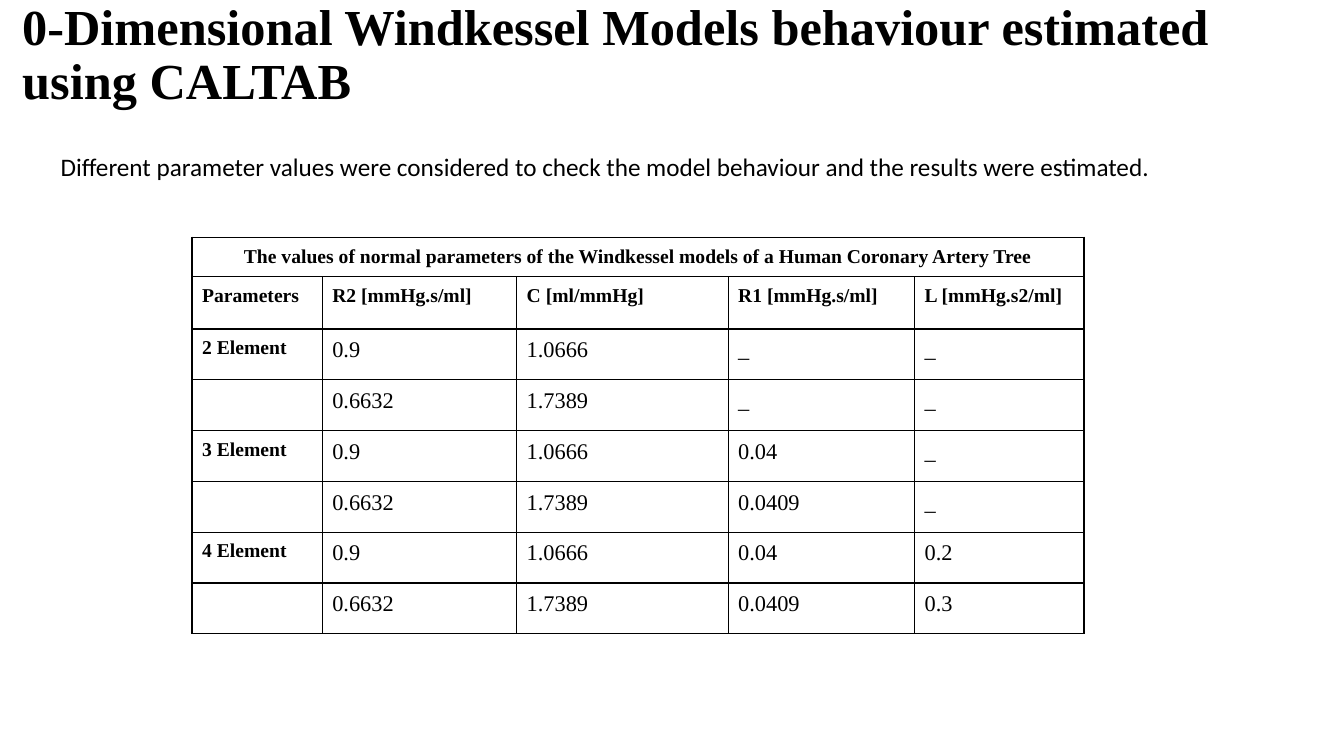
from dataclasses import dataclass

from lxml.etree import SubElement
from pptx import Presentation
from pptx.dml.color import RGBColor
from pptx.enum.text import MSO_ANCHOR, PP_ALIGN
from pptx.oxml.ns import qn
from pptx.util import Cm, Pt


@dataclass(frozen=True)
class Theme:
    ink: str = "000000"
    serif: str = "Times New Roman"
    sans: str = "Calibri"
    title: int = 36
    body: int = 18
    label: int = 14
    value: int = 16
    border: int = 1


THEME = Theme()

CAPTION = "The values of normal parameters of the Windkessel models of a Human Coronary Artery Tree"
HEADERS = ["Parameters", "R2 [mmHg.s/ml]", "C [ml/mmHg]", "R1 [mmHg.s/ml]", "L [mmHg.s2/ml]"]
MODELS = [
    ["2 Element", "0.9", "1.0666", "_", "_"],
    ["", "0.6632", "1.7389", "_", "_"],
    ["3 Element", "0.9", "1.0666", "0.04", "_"],
    ["", "0.6632", "1.7389", "0.0409", "_"],
    ["4 Element", "0.9", "1.0666", "0.04", "0.2"],
    ["", "0.6632", "1.7389", "0.0409", "0.3"],
]
COLUMN_WIDTHS = [3.28, 4.9, 5.33, 4.7, 4.27]
ROW_HEIGHTS = [0.99, 1.32] + [1.28] * len(MODELS)


def style(p, font, size, bold=False):
    p.font.name = font
    p.font.size = Pt(size)
    p.font.bold = bold
    p.font.color.rgb = RGBColor.from_string(THEME.ink)


def add_text(s, box, text, font, size, bold=False, anchor=MSO_ANCHOR.TOP, spacing=1.0):
    tf = s.shapes.add_textbox(*map(Cm, box)).text_frame
    tf.word_wrap = True
    tf.vertical_anchor = anchor
    p = tf.paragraphs[0]
    p.text = text
    p.line_spacing = spacing
    style(p, font, size, bold)


def add_borders(cell):
    tc_pr = cell._tc.get_or_add_tcPr()
    for side in ("a:lnL", "a:lnR", "a:lnT", "a:lnB"):
        ln = SubElement(tc_pr, qn(side), w=str(Pt(THEME.border)))
        fill = SubElement(ln, qn("a:solidFill"))
        SubElement(fill, qn("a:srgbClr"), val=THEME.ink)


def fill_cell(cell, text, is_label):
    add_borders(cell)
    cell.fill.background()
    p = cell.text_frame.paragraphs[0]
    p.text = text
    p.line_spacing = 1.15
    p.space_after = Pt(8)
    style(p, THEME.serif, THEME.label if is_label else THEME.value, is_label)


def add_parameter_table(s, left, top):
    rows = [[CAPTION, "", "", "", ""], HEADERS] + MODELS
    frame = s.shapes.add_table(len(rows), len(HEADERS), Cm(left), Cm(top),
                               Cm(sum(COLUMN_WIDTHS)), Cm(sum(ROW_HEIGHTS)))
    table = frame.table
    table.horz_banding = False
    for column, width in zip(table.columns, COLUMN_WIDTHS):
        column.width = Cm(width)
    for row, height in zip(table.rows, ROW_HEIGHTS):
        row.height = Cm(height)
    for i, values in enumerate(rows):
        for j, text in enumerate(values):
            fill_cell(table.cell(i, j), text, is_label=i < 2 or j == 0)
    caption = table.cell(0, 0)
    caption.merge(table.cell(0, len(HEADERS) - 1))
    caption.text_frame.paragraphs[0].alignment = PP_ALIGN.CENTER


def main():
    prs = Presentation()
    prs.slide_width, prs.slide_height = Cm(33.87), Cm(19.05)
    s = prs.slides.add_slide(prs.slide_layouts[6])
    add_text(s, (0.31, 0, 33.25, 2.82),
             "0-Dimensional Windkessel Models behaviour estimated using CALTAB",
             THEME.serif, THEME.title, True, MSO_ANCHOR.MIDDLE, 0.9)
    add_text(s, (1.28, 3.7, 28.63, 1.03),
             "Different parameter values were considered to check the model behaviour "
             "and the results were estimated.",
             THEME.sans, THEME.body)
    add_parameter_table(s, 4.84, 5.98)
    prs.save("out.pptx")


if __name__ == "__main__":
    main()
